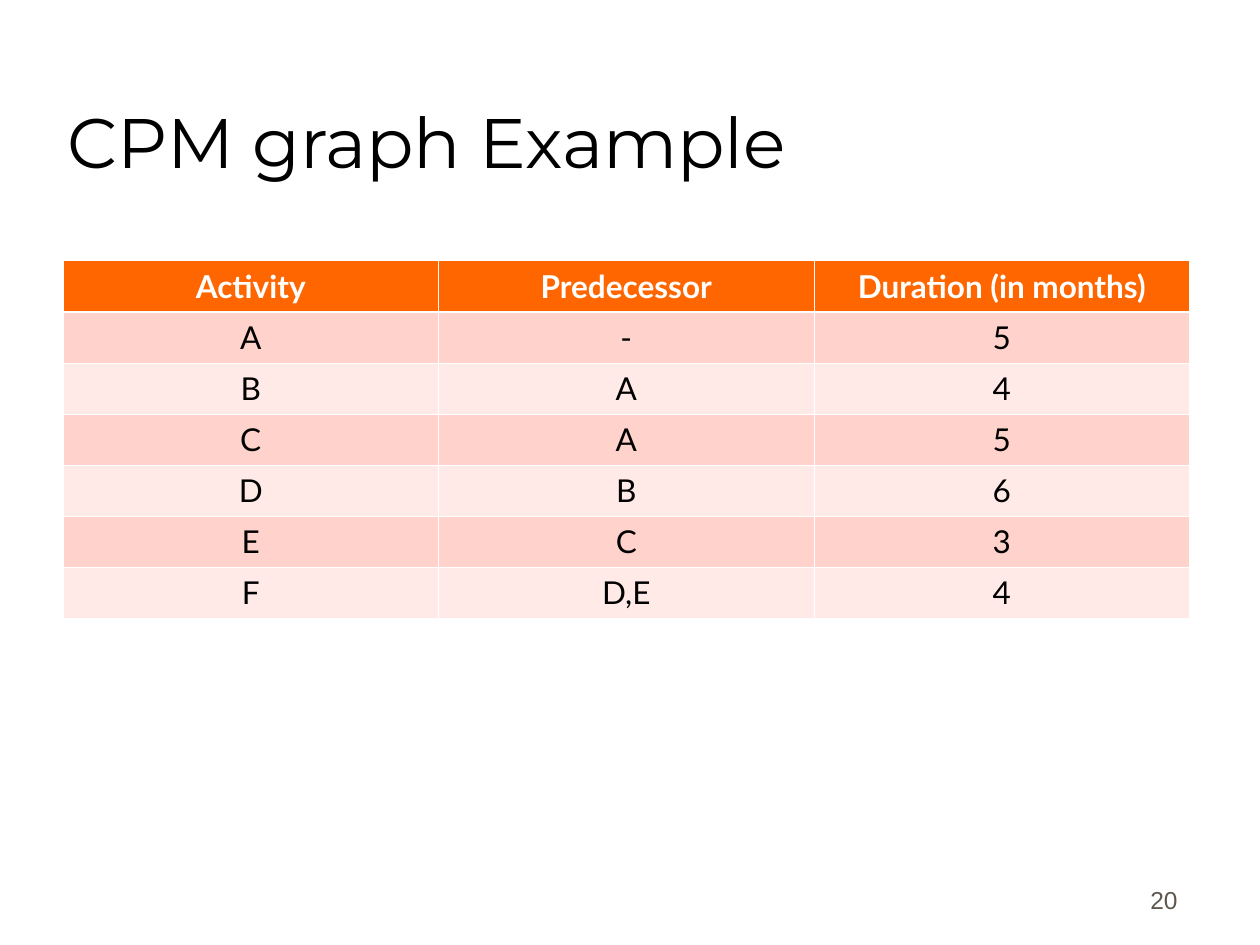
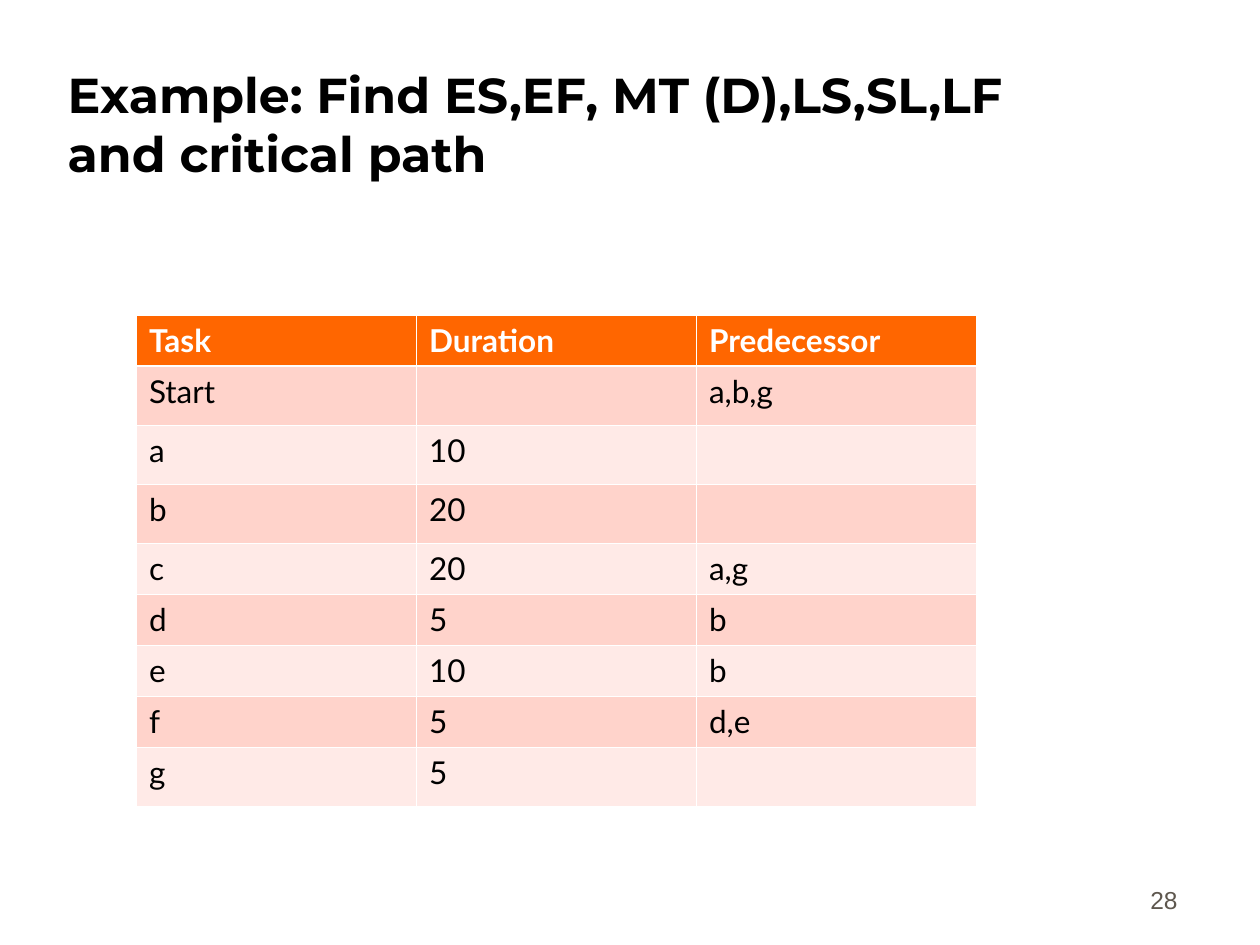
from lxml.etree import SubElement
from pptx import Presentation
from pptx.dml.color import RGBColor
from pptx.enum.text import MSO_ANCHOR as Anchor, MSO_AUTO_SIZE as AutoSize, PP_ALIGN as Align
from pptx.oxml.ns import qn
from pptx.util import Pt

COLOURS = {
    "title": "000000",
    "header": "FF6600",
    "header_text": "FFFFFF",
    "odd_row": "FFD3CB",
    "even_row": "FFEAE7",
    "body_text": "000000",
    "border": "FFFFFF",
    "number": "5E574E",
}
TITLE_FONT, TABLE_FONT, NUMBER_FONT = "Montserrat", "Lato", "Arial"
ROW_HEIGHT, GAP_ROW_HEIGHT = 29.2, 33.7
THIN, THICK = 0.45, 1.47

ACTIVITIES = [
    ("Activity", "Predecessor", "Duration (in months)"),
    ("A", "-", "5"),
    ("B", "A", "4"),
    ("C", "A", "5"),
    ("D", "B", "6"),
    ("E", "C", "3"),
    ("F", "D,E", "4"),
]
TASKS = [
    ("Task", "Duration", "Predecessor"),
    ("Start", "", "a,b,g"),
    ("a", "10", ""),
    ("b", "20", ""),
    ("c", "20", "a,g"),
    ("d", "5", "b"),
    ("e", "10", "b"),
    ("f", "5", "d,e"),
    ("g", "5", ""),
]


class SlideBuilder:
    def __init__(self):
        self.deck = Presentation()
        self.deck.slide_width, self.deck.slide_height = Pt(720), Pt(540)
        self.page = None

    def colour(self, name):
        return RGBColor.from_string(COLOURS[name])

    def set_text(self, frame, text, font, size, colour, align, bold=False):
        frame.text = text
        para = frame.paragraphs[0]
        para.alignment = align
        for span in para.runs:
            span.font.name = font
            span.font.size = Pt(size)
            span.font.bold = bold
            span.font.color.rgb = self.colour(colour)

    def add_page(self, title, size, number, bold=False):
        self.page = self.deck.slides.add_slide(self.deck.slide_layouts[5])
        self.add_title(title, size, bold)
        self.add_number(number)

    def add_title(self, text, size, bold):
        box = self.page.shapes.title
        box.left, box.top, box.width, box.height = Pt(31.5), Pt(18), Pt(612), Pt(90)
        frame = box.text_frame
        frame.auto_size = AutoSize.NONE
        frame.vertical_anchor = Anchor.BOTTOM
        self.set_text(frame, text, TITLE_FONT, size, "title", Align.LEFT, bold)

    def add_number(self, number):
        box = self.page.shapes.add_textbox(Pt(530), Pt(490), Pt(150), Pt(36))
        frame = box.text_frame
        frame.word_wrap = True
        frame.vertical_anchor = Anchor.BOTTOM
        self.set_text(frame, str(number), NUMBER_FONT, 14, "number", Align.RIGHT)

    def add_border(self, cell, side, width):
        line = SubElement(cell._tc.get_or_add_tcPr(), qn(f"a:ln{side}"), w=str(Pt(width)))
        fill = SubElement(line, qn("a:solidFill"))
        SubElement(fill, qn("a:srgbClr"), val=COLOURS["border"])

    def add_table(self, rows, left, top, column_width, align):
        heights = [ROW_HEIGHT if all(row) else GAP_ROW_HEIGHT for row in rows]
        columns = len(rows[0])
        table = self.page.shapes.add_table(
            len(rows), columns, Pt(left), Pt(top), Pt(column_width * columns), Pt(sum(heights))
        ).table
        table.horz_banding = False
        for column in table.columns:
            column.width = Pt(column_width)
        for index, (values, height) in enumerate(zip(rows, heights)):
            table.rows[index].height = Pt(height)
            header = index == 0
            fill = "header" if header else "odd_row" if index % 2 else "even_row"
            text_colour = "header_text" if header else "body_text"
            borders = {"L": THIN, "R": THIN, "T": THICK if index == 1 else THIN, "B": THICK if header else THIN}
            for cell, value in zip(table.rows[index].cells, values):
                for side, width in borders.items():
                    self.add_border(cell, side, width)
                cell.fill.solid()
                cell.fill.fore_color.rgb = self.colour(fill)
                self.set_text(cell.text_frame, value, TABLE_FONT, 18, text_colour, align, header)


def main():
    builder = SlideBuilder()
    builder.add_page("CPM graph Example", 40, 20)
    builder.add_table(ACTIVITIES, 36, 149, 214.6, Align.CENTER)
    builder.add_page("Example: Find ES,EF, MT (D),LS,SL,LF and critical path", 28, 28, bold=True)
    builder.add_table(TASKS, 78, 180, 160, Align.LEFT)
    builder.deck.save("out.pptx")


if __name__ == "__main__":
    main()
